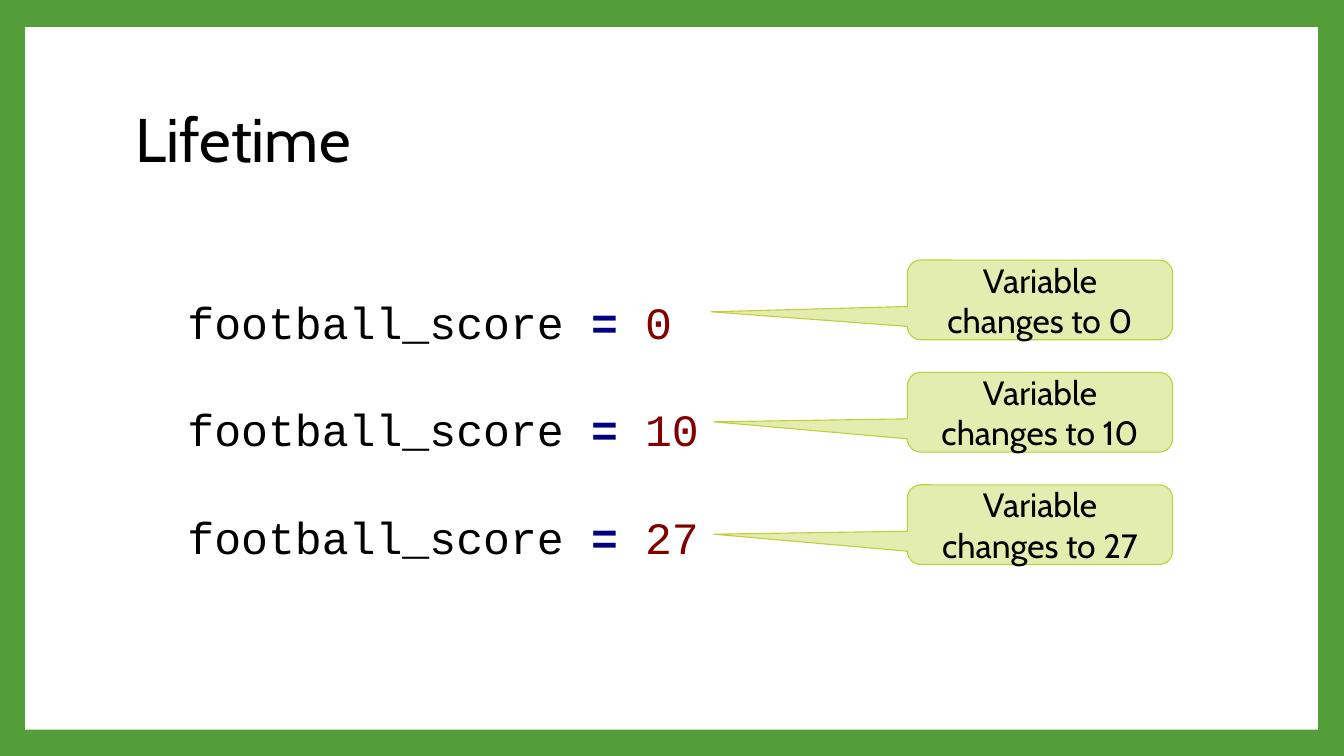
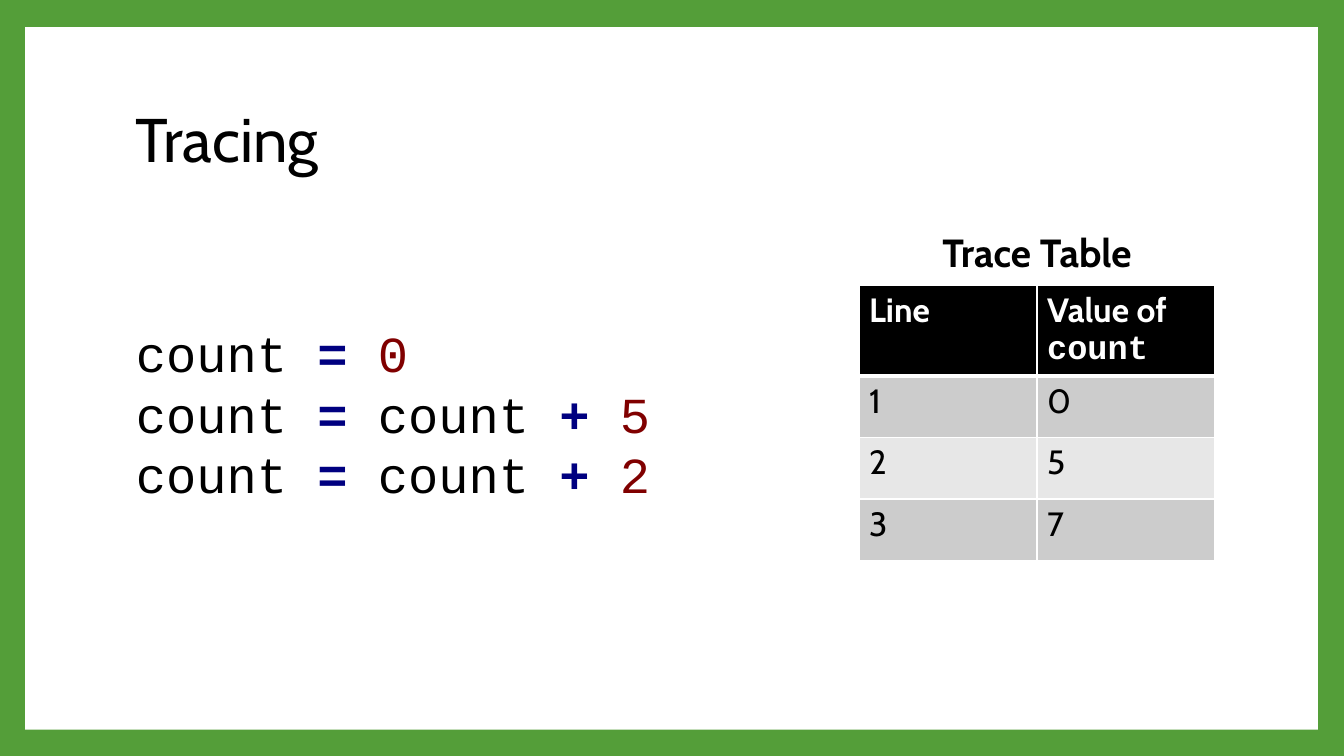
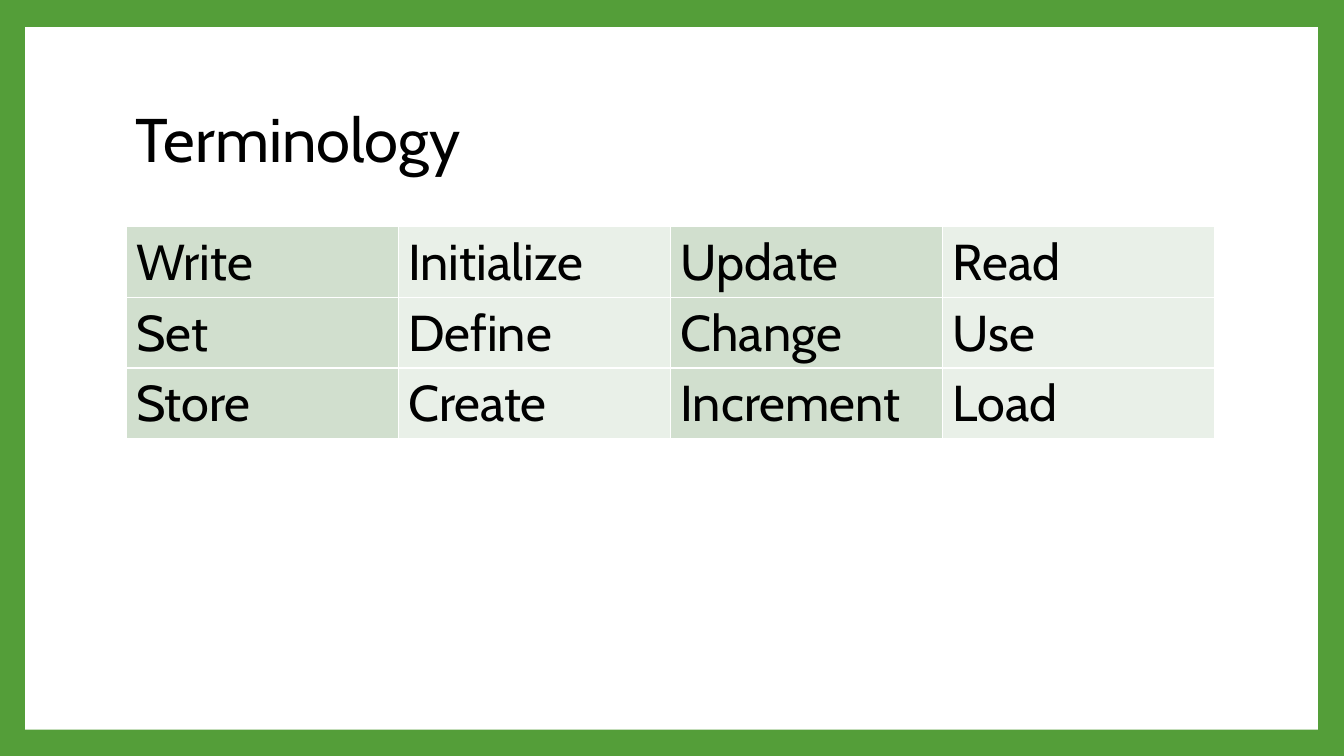
from lxml.etree import SubElement
from pptx import Presentation
from pptx.dml.color import RGBColor
from pptx.enum.shapes import MSO_SHAPE
from pptx.enum.text import MSO_ANCHOR, PP_ALIGN
from pptx.oxml.ns import qn
from pptx.util import Inches, Pt

# Shared style
GREEN, WHITE, BLACK = "549E39", "FFFFFF", "000000"
NAVY, MAROON = "000080", "800000"
BODY, CODE = "Cabin", "Courier New"
LEFT, WIDTH = 1.25, 10.8
rgb = RGBColor.from_string


def write(frame, lines, font=BODY, size=24, color=BLACK, bold=False,
          align=PP_ALIGN.LEFT, spacing=None, after=0, code=False):
    """Each line is a string, or a list of (text, font) pairs."""
    for number, line in enumerate(lines):
        paragraph = frame.paragraphs[0] if number == 0 else frame.add_paragraph()
        paragraph.alignment = align
        paragraph.space_after = Pt(after)
        if spacing:
            paragraph.line_spacing = spacing
        if code:
            parts = [(token, CODE) for token in line.split()]
            parts = [(token + " ", CODE) for token, _ in parts[:-1]] + parts[-1:]
        else:
            parts = [(line, font)] if isinstance(line, str) else line
        for text, face in parts:
            run = paragraph.add_run()
            run.text = text
            run.font.name, run.font.size = face, Pt(size)
            operator = code and text.strip() in ("=", "+")
            number_literal = code and text.strip().isdigit()
            run.font.bold = bold or operator
            run.font.color.rgb = rgb(
                NAVY if operator else MAROON if number_literal else color)


def add_grid(slide, rows, left, top, width, heights, size, fill_at, header=False):
    """Add a table with white rules; fill_at(row, column) gives a cell's fill."""
    grid = slide.shapes.add_table(
        len(rows), len(rows[0]), Inches(left), Inches(top),
        Inches(width), Inches(sum(heights))).table
    grid.first_row, grid.horz_banding = header, False
    for r, row in enumerate(rows):
        grid.rows[r].height = Inches(heights[r])
        for c, content in enumerate(row):
            cell = grid.cell(r, c)
            heading = header and r == 0
            properties = cell._tc.get_or_add_tcPr()
            for side in ("lnL", "lnR", "lnT", "lnB"):
                thick = header and (r, side) in ((0, "lnB"), (1, "lnT"))
                rule = SubElement(properties, qn("a:" + side),
                                  w=str(Pt(3 if thick else 1)))
                solid = SubElement(rule, qn("a:solidFill"))
                SubElement(solid, qn("a:srgbClr"), val=WHITE)
            cell.fill.solid()
            cell.fill.fore_color.rgb = rgb(fill_at(r, c))
            write(cell.text_frame, [content], size=size, bold=heading,
                  color=WHITE if heading else BLACK)


prs = Presentation()
prs.slide_width, prs.slide_height = Inches(13.33), Inches(7.5)
background = prs.slide_master.background.fill
background.solid()
background.fore_color.rgb = rgb(GREEN)

# White panel and title on every slide
slides = []
for heading in ("Lifetime", "Tracing", "Terminology"):
    slide = prs.slides.add_slide(prs.slide_layouts[6])
    panel = slide.shapes.add_shape(
        MSO_SHAPE.RECTANGLE, Inches(0.25), Inches(0.27), Inches(12.82), Inches(6.97))
    panel.shadow.inherit = False
    panel.fill.solid()
    panel.fill.fore_color.rgb = rgb(WHITE)
    panel.line.fill.background()
    title = slide.shapes.add_textbox(
        Inches(LEFT), Inches(0.67), Inches(WIDTH), Inches(1.48)).text_frame
    title.word_wrap, title.vertical_anchor = True, MSO_ANCHOR.MIDDLE
    write(title, [heading], size=44, spacing=0.9)
    slides.append(slide)
lifetime, tracing, terminology = slides

# Lifetime: assignments, each with a callout
scores = (0, 10, 27)
assignments = lifetime.shapes.add_textbox(
    Inches(1.76), Inches(2.87), Inches(6.62), Inches(2.73)).text_frame
assignments.word_wrap = True
write(assignments, [f"football_score = {score}" for score in scores],
      size=32, spacing=Pt(38.4), after=38.4, code=True)

pointers = ((-1.24, 0.15), (-1.23, 0.12), (-1.23, 0.12))
for i, (score, pointer) in enumerate(zip(scores, pointers)):
    callout = lifetime.shapes.add_shape(
        MSO_SHAPE.ROUNDED_RECTANGULAR_CALLOUT,
        Inches(9), Inches(2.58 + 1.115 * i), Inches(2.63), Inches(0.79))
    callout.adjustments[0], callout.adjustments[1] = pointer
    callout.shadow.inherit = False
    callout.fill.solid()
    callout.fill.fore_color.rgb = rgb("E4EDB0")
    callout.line.color.rgb = rgb("C0CF3A")
    callout.line.width = Pt(0.79)
    callout.text_frame.word_wrap = True
    callout.text_frame.vertical_anchor = MSO_ANCHOR.MIDDLE
    write(callout.text_frame, [f"Variable changes to {score}"], align=PP_ALIGN.CENTER)

# Tracing: program and its trace table
program = tracing.shapes.add_textbox(
    Inches(LEFT), Inches(3.15), Inches(5.57), Inches(1.92)).text_frame
program.word_wrap = True
write(program, ["count = 0", "count = count + 5", "count = count + 2"],
      size=36, spacing=Pt(43.2), code=True)

caption = tracing.shapes.add_textbox(
    Inches(9.24), Inches(2.22), Inches(2.09), Inches(0.57)).text_frame
caption.word_wrap = False
write(caption, ["Trace Table"], size=28, bold=True, align=PP_ALIGN.CENTER)

trace = [["Line", [("Value of ", BODY), ("count", CODE)]],
         ["1", "0"], ["2", "5"], ["3", "7"]]
add_grid(tracing, trace, 8.52, 2.83, 3.53, [0.9] + [0.61] * 3, 24,
         lambda r, c: BLACK if r == 0 else ("E7E7E7", "CCCCCC")[r % 2], header=True)

# Terminology: one group of synonyms per column
terms = [["Write", "Initialize", "Update", "Read"],
         ["Set", "Define", "Change", "Use"],
         ["Store", "Create", "Increment", "Load"]]
add_grid(terminology, terms, LEFT, 2.25, WIDTH, [0.7] * 3, 36,
         lambda r, c: ("D1DFCE", "E9F0E8")[c % 2])

prs.save("out.pptx")
